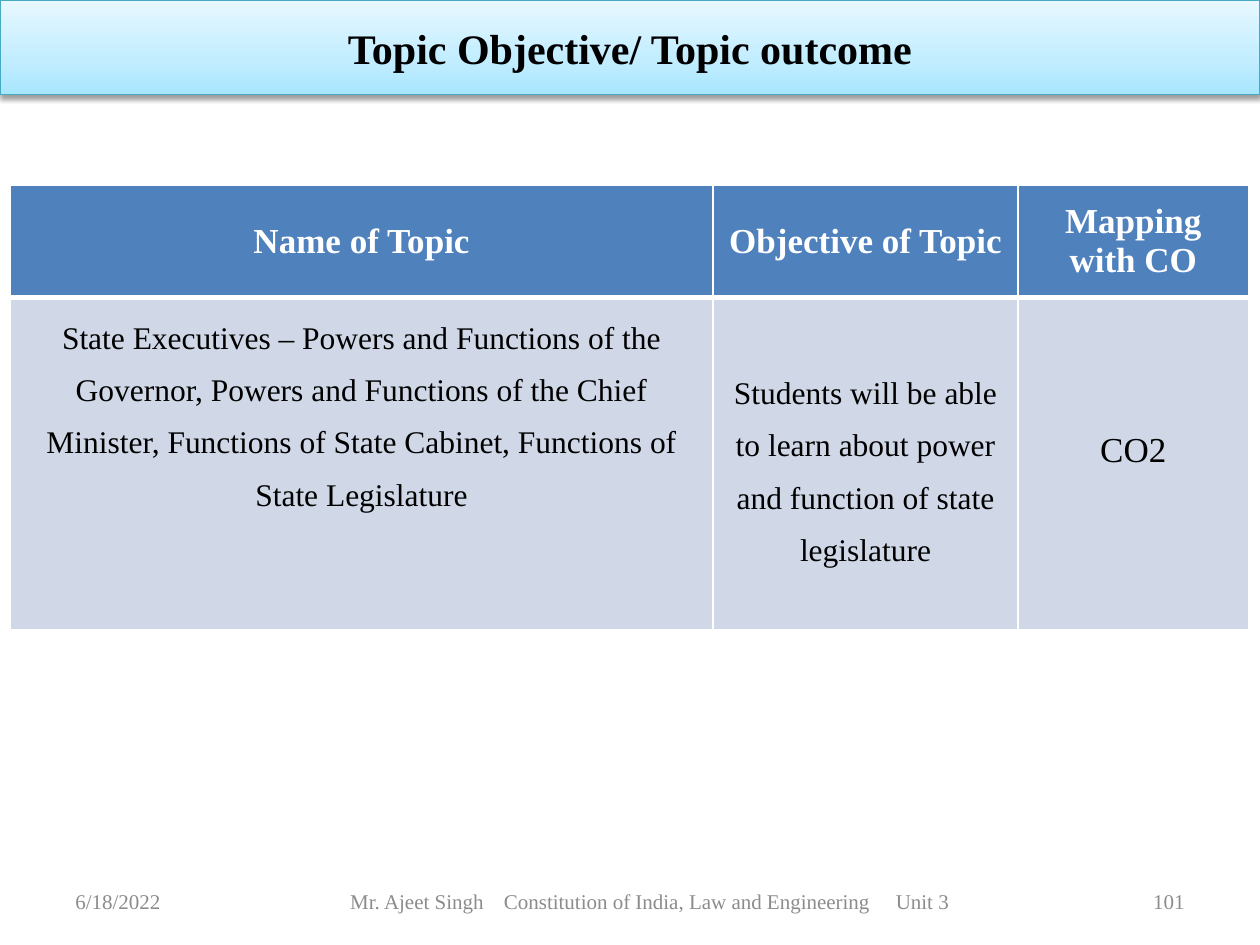
"""Build the topic objective slide with its mapping table."""
import copy
import dataclasses
import typing

import lxml.etree
import pptx
import pptx.dml.color
import pptx.enum.shapes
import pptx.enum.text
import pptx.oxml
import pptx.oxml.ns
import pptx.util

Inches = pptx.util.Inches
Pt = pptx.util.Pt
Align = pptx.enum.text.PP_ALIGN
Anchor = pptx.enum.text.MSO_ANCHOR


@dataclasses.dataclass(frozen=True)
class Theme:
    font: str = "Times New Roman"
    ink: str = "000000"
    pale: str = "FFFFFF"
    grey: str = "8C8C8C"
    head: str = "4F81BD"
    body: str = "D0D8E8"
    edge: str = "46AAC5"
    blend: tuple = ((0, "A7E6FF"), (0.35, "C1EDFF"), (1, "E7F8FF"))
    title: float = 24
    large: float = 20
    text: float = 18
    small: float = 12


@dataclasses.dataclass(frozen=True)
class Cell:
    text: str
    size: float
    color: str
    fill: str
    bold: bool = False
    space: typing.Optional[float] = None
    anchor: Anchor = Anchor.MIDDLE
    base: float = 0.05


@dataclasses.dataclass(frozen=True)
class Note:
    text: str
    left: float
    width: float
    align: Align
    inset: float = 0.1
    tabs: tuple = ()


THEME = Theme()
COLS = (5.58, 2.42, 1.83)
ROWS = (0.89, 2.64)
HEADS = ("Name of Topic", "Objective of Topic", "Mapping with CO")
CELLS = (
    [Cell(text, THEME.large, THEME.pale, THEME.head, True) for text in HEADS],
    [
        Cell("State Executives – Powers and Functions of the Governor, "
             "Powers and Functions of the Chief Minister, Functions of State "
             "Cabinet, Functions of State Legislature",
             THEME.text, THEME.ink, THEME.body, space=1.5, anchor=Anchor.TOP),
        Cell("Students will be able to learn about power and function of "
             "state legislature",
             THEME.text, THEME.ink, THEME.body, space=1.5),
        Cell("CO2", THEME.large, THEME.ink, THEME.body, base=0.25),
    ],
)
NOTES = (
    Note("6/18/2022", 0.5, 2.33, Align.LEFT),
    Note("Mr. Ajeet Singh\tConstitution of India, Law and Engineering\tUnit 3",
         2.08, 6.17, Align.LEFT, 0.7, (1.22, 4.33)),
    Note("101", 7.17, 2.33, Align.RIGHT),
)


def rgb(code: str) -> pptx.dml.color.RGBColor:
    return pptx.dml.color.RGBColor.from_string(code)


def add(parent, tag: str, **attrs):
    return lxml.etree.SubElement(
        parent, pptx.oxml.ns.qn(tag), {key: str(val) for key, val in attrs.items()})


def style(para, size: float, color: str, align: Align, bold: bool = False) -> None:
    para.alignment = align
    para.font.name = THEME.font
    para.font.size = Pt(size)
    para.font.bold = bold
    para.font.color.rgb = rgb(color)


def draw_title(slide) -> None:
    bar = slide.shapes.add_shape(
        pptx.enum.shapes.MSO_SHAPE.RECTANGLE, 0, 0, Inches(10), Inches(0.75))
    bar.fill.gradient()
    bar.fill.gradient_angle = 90
    stops = bar.fill.gradient_stops
    last = bar.element.spPr.findall(".//" + pptx.oxml.ns.qn("a:gs"))[-1]
    last.addnext(copy.deepcopy(last))
    stops = bar.fill.gradient_stops
    for stop, (place, color) in zip(stops, THEME.blend):
        stop.position = place
        stop.color.rgb = rgb(color)
    bar.line.color.rgb = rgb(THEME.edge)
    bar.line.width = Pt(0.75)
    bar.shadow.inherit = False
    glow = bar.element.spPr.find(pptx.oxml.ns.qn("a:effectLst"))
    shade = add(glow, "a:outerShdw", blurRad=Pt(3.1), dist=Pt(1.6),
                dir=5400000, rotWithShape=0)
    add(add(shade, "a:srgbClr", val=THEME.ink), "a:alpha", val=38000)
    frame = bar.text_frame
    frame.vertical_anchor = Anchor.MIDDLE
    frame.text = "Topic Objective/ Topic outcome"
    style(frame.paragraphs[0], THEME.title, THEME.ink, Align.CENTER, True)


def draw_note(slide, note: Note) -> None:
    box = slide.shapes.add_textbox(
        Inches(note.left), Inches(6.95), Inches(note.width), Inches(0.4))
    frame = box.text_frame
    frame.word_wrap = True
    frame.vertical_anchor = Anchor.MIDDLE
    frame.margin_left = Inches(note.inset)
    frame.text = note.text
    para = frame.paragraphs[0]
    if note.tabs:
        stops = add(para._p.get_or_add_pPr(), "a:tabLst")
        for stop in note.tabs:
            add(stops, "a:tab", pos=Inches(stop), algn="l")
    style(para, THEME.small, THEME.grey, note.align)


def draw_cell(cell, data: Cell, widths: dict) -> None:
    props = cell._tc.get_or_add_tcPr()
    for side, width in widths.items():
        line = add(props, "a:ln" + side, w=Pt(width))
        add(add(line, "a:solidFill"), "a:srgbClr", val=THEME.pale)
    cell.fill.solid()
    cell.fill.fore_color.rgb = rgb(data.fill)
    cell.vertical_anchor = data.anchor
    cell.margin_bottom = Inches(data.base)
    cell.text = data.text
    para = cell.text_frame.paragraphs[0]
    style(para, data.size, data.color, Align.CENTER, data.bold)
    if data.space:
        para.line_spacing = data.space


def draw_table(slide) -> None:
    table = slide.shapes.add_table(
        len(ROWS), len(COLS), Inches(0.08), Inches(1.47),
        Inches(sum(COLS)), Inches(sum(ROWS))).table
    table.horz_banding = False
    for col, width in zip(table.columns, COLS):
        col.width = Inches(width)
    for num, (row, high) in enumerate(zip(table.rows, ROWS)):
        row.height = Inches(high)
        rule = {"L": 1, "R": 1, "T": 3 if num else 1, "B": 1 if num else 3}
        for cell, data in zip(row.cells, CELLS[num]):
            draw_cell(cell, data, rule)


def main() -> None:
    deck = pptx.Presentation()
    deck.slide_width = Inches(10)
    deck.slide_height = Inches(7.5)
    slide = deck.slides.add_slide(deck.slide_layouts[6])
    draw_title(slide)
    for note in NOTES:
        draw_note(slide, note)
    draw_table(slide)
    deck.save("out.pptx")


if __name__ == "__main__":
    main()
